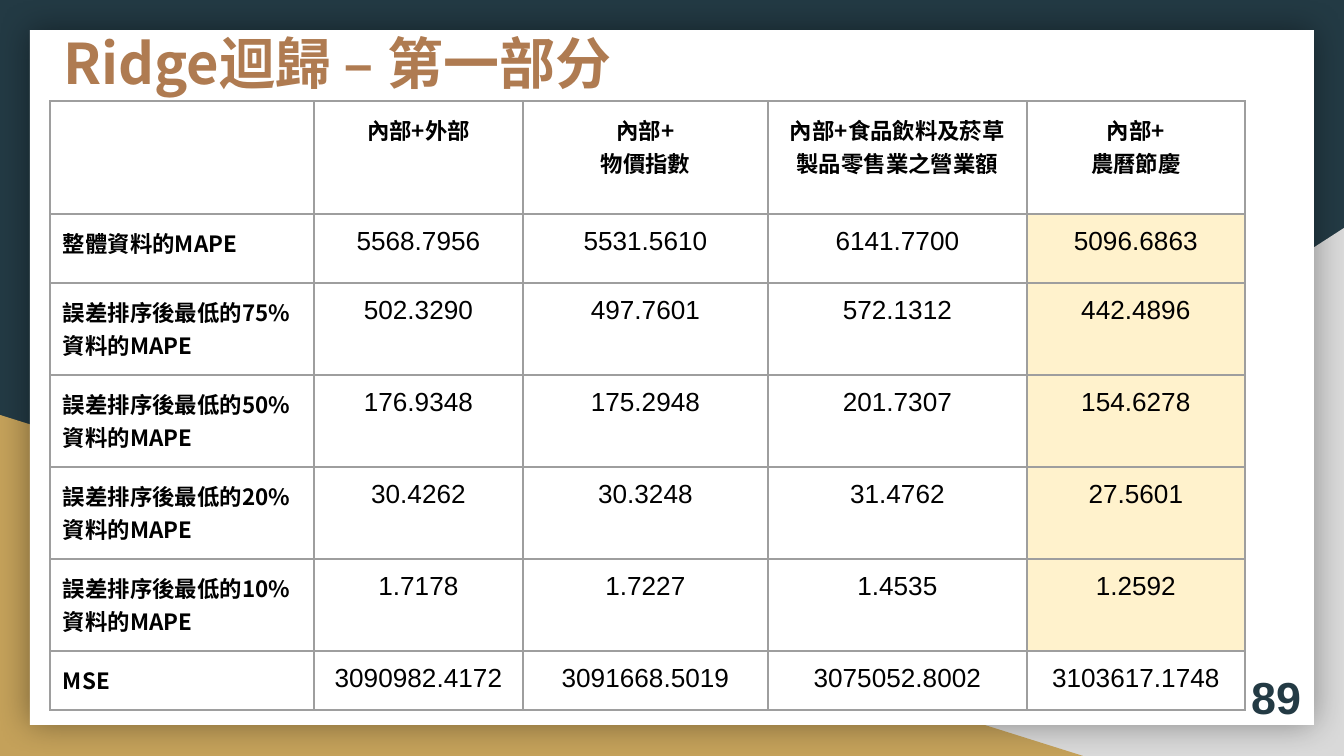
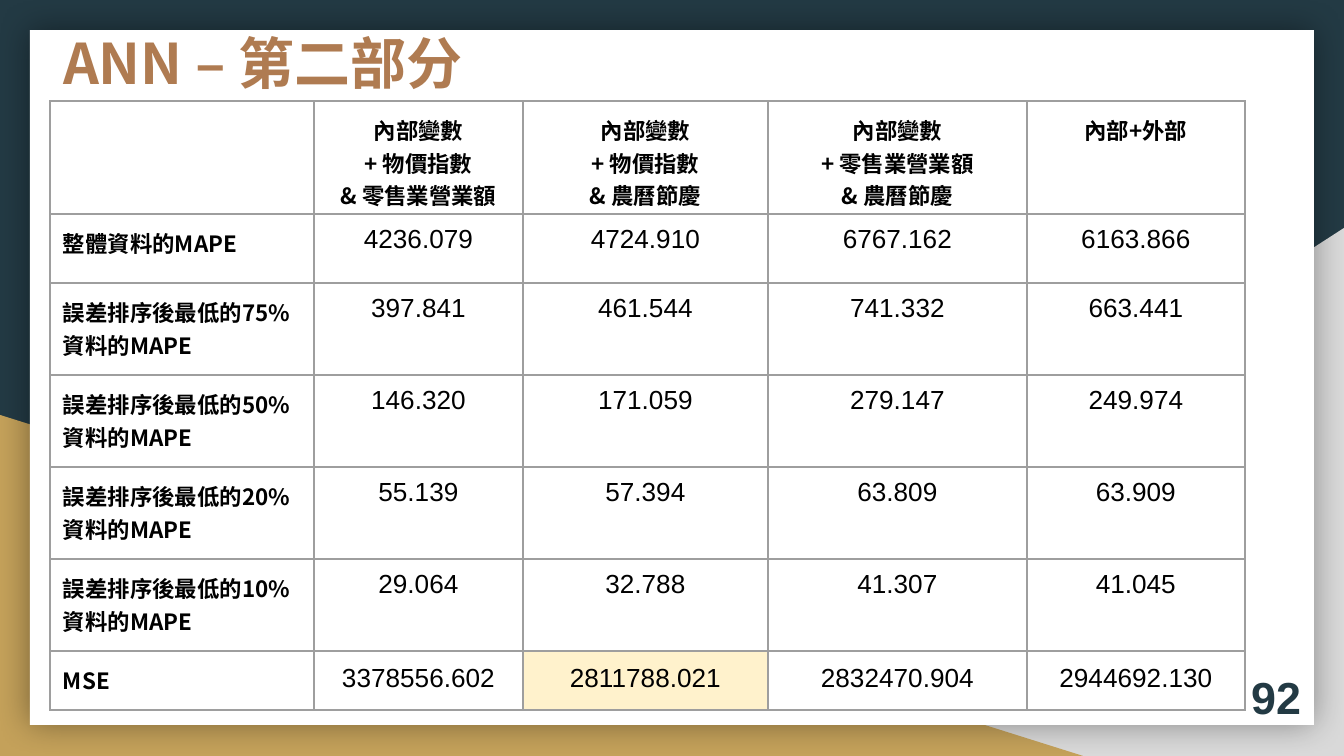
from itertools import accumulate

from lxml import etree
from pptx import Presentation
from pptx.dml.color import RGBColor
from pptx.enum.shapes import MSO_SHAPE as SHAPE
from pptx.enum.text import MSO_ANCHOR as ANCHOR, PP_ALIGN as ALIGN
from pptx.oxml import parse_xml
from pptx.oxml.ns import nsdecls, qn
from pptx.util import Emu, Pt

EMU_PER_INCH, PX_PER_INCH = 914400, 134.4
NAVY, GOLD, GREY, WHITE = "233A44", "C4A15A", "D9D9D9", "FFFFFF"
BROWN, BLACK, RULE, HIGHLIGHT = "AF7B51", "000000", "9E9E9E", "FFF2CC"
CJK, SANS = "Noto Sans CJK TC", "Arial"

TITLE = dict(size=Pt(30), bold=True, name=CJK)
HEADING = dict(size=Pt(12), bold=True, name=CJK)
VALUE = dict(size=Pt(14), bold=False, name=SANS)
NUMBER = dict(size=Pt(24), bold=True, name=SANS)

INSET = 13
TITLE_BOX = (50, 23, 1195, 110)
NUMBER_BOX = (1234, 668, 80, 58)
TABLE_ORIGIN = (50, 101)
COLUMNS = (264, 209, 245, 259, 218)
ROWS = (113, 69, 92, 92, 92, 92, 59)
LABELS = ["整體資料的MAPE",
          *(f"誤差排序後最低的{share}%資料的MAPE" for share in (75, 50, 20, 10)),
          "MSE"]

RIDGE = dict(
    title="Ridge迴歸 – 第一部分", number="89",
    headings=["內部+外部", "內部+\n物價指數",
              "內部+食品飲料及菸草製品零售業之營業額", "內部+\n農曆節慶"],
    values=[
        ["5568.7956", "5531.5610", "6141.7700", "5096.6863"],
        ["502.3290", "497.7601", "572.1312", "442.4896"],
        ["176.9348", "175.2948", "201.7307", "154.6278"],
        ["30.4262", "30.3248", "31.4762", "27.5601"],
        ["1.7178", "1.7227", "1.4535", "1.2592"],
        ["3090982.4172", "3091668.5019", "3075052.8002", "3103617.1748"],
    ],
    best={(row, 4) for row in range(1, 6)}, value_inset=INSET)

ANN = dict(
    title="ANN – 第二部分", number="92",
    headings=["內部變數\n+ 物價指數\n& 零售業營業額",
              "內部變數\n+ 物價指數\n& 農曆節慶",
              "內部變數\n+ 零售業營業額\n& 農曆節慶", "內部+外部"],
    values=[
        ["4236.079", "4724.910", "6767.162", "6163.866"],
        ["397.841", "461.544", "741.332", "663.441"],
        ["146.320", "171.059", "279.147", "249.974"],
        ["55.139", "57.394", "63.809", "63.909"],
        ["29.064", "32.788", "41.307", "41.045"],
        ["3378556.602", "2811788.021", "2832470.904", "2944692.130"],
    ],
    best={(6, 2)}, value_inset=11)


def px(n):
    return Emu(round(n * EMU_PER_INCH / PX_PER_INCH))


def rgb(value):
    return RGBColor.from_string(value)


def paint(fill, color):
    fill.solid()
    fill.fore_color.rgb = rgb(color)


def write(tf, text, style, color, align=ALIGN.LEFT, spacing=None):
    """Fill a text frame, one paragraph per line of text."""
    tf.text = text
    for p in tf.paragraphs:
        p.alignment = align
        if spacing:
            p.line_spacing = spacing
        for r in p.runs:
            r.font.color.rgb = rgb(color)
            for key, value in style.items():
                setattr(r.font, key, value)
            ea = etree.SubElement(r.font._element, qn("a:ea"))
            ea.set("typeface", style["name"])


def set_insets(target, inset):
    for side in ("left", "top", "right", "bottom"):
        setattr(target, f"margin_{side}", px(inset))


def add_block(s, kind, box, color):
    sp = s.shapes.add_shape(kind, *map(px, box))
    sp.shadow.inherit = False
    paint(sp.fill, color)
    sp.line.fill.background()
    return sp


def build_backdrop(layout, s):
    """Draw the shared backdrop through slide s and move it to the layout."""
    paint(layout.background.fill, NAVY)
    right = add_block(s, SHAPE.RIGHT_TRIANGLE, (527, 228, 817, 528), GREY)
    right._element.spPr.find(qn("a:xfrm")).set("flipH", "1")
    left = add_block(s, SHAPE.RIGHT_TRIANGLE, (0, 415, 1083, 341), GOLD)
    panel = add_block(s, SHAPE.RECTANGLE, (30, 30, 1284, 695), WHITE)
    effects = panel._element.spPr.find(qn("a:effectLst"))
    effects.append(parse_xml(
        f'<a:outerShdw {nsdecls("a")} blurRad="{Pt(18)}" dist="0" algn="ctr" '
        f'rotWithShape="0"><a:srgbClr val="{BLACK}"><a:alpha val="40000"/>'
        '</a:srgbClr></a:outerShdw>'))
    for i, sp in enumerate((right, left, panel)):
        layout.shapes.element.insert(2 + i, sp._element)


def place_title(s, box, text):
    sp = s.shapes.title
    sp.left, sp.top, sp.width, sp.height = map(px, box)
    tf = sp.text_frame
    set_insets(tf, INSET)
    tf.vertical_anchor = ANCHOR.TOP
    write(tf, text, TITLE, BROWN, spacing=0.9)


def add_page_number(s, box, text):
    tf = s.shapes.add_textbox(*map(px, box)).text_frame
    tf.word_wrap = True
    tf.vertical_anchor = ANCHOR.MIDDLE
    set_insets(tf, INSET)
    write(tf, text, NUMBER, NAVY, ALIGN.RIGHT)


def add_borders(cell):
    tcPr = cell._tc.get_or_add_tcPr()
    for i, side in enumerate(("lnL", "lnR", "lnT", "lnB")):
        tcPr.insert(i, parse_xml(
            f'<a:{side} {nsdecls("a")} w="{Pt(1)}"><a:solidFill>'
            f'<a:srgbClr val="{RULE}"/></a:solidFill></a:{side}>'))


def add_score_table(s, origin, headings, values, best, value_inset):
    """Add the table of errors; best holds the highlighted (row, column)s."""
    size = (list(accumulate(COLUMNS))[-1], list(accumulate(ROWS))[-1])
    table = s.shapes.add_table(len(ROWS), len(COLUMNS),
                               *map(px, origin + size)).table
    table.first_row = table.horz_banding = False
    for column, width in zip(table.columns, COLUMNS):
        column.width = px(width)
    for row, height in zip(table.rows, ROWS):
        row.height = px(height)

    grid = [["", *headings]]
    grid += [[label, *scores] for label, scores in zip(LABELS, values)]
    last = len(ROWS) - 1
    for i, texts in enumerate(grid):
        for j, text in enumerate(texts):
            cell = table.cell(i, j)
            is_value = i > 0 and j > 0
            set_insets(cell, value_inset if is_value and i < last else INSET)
            paint(cell.fill, HIGHLIGHT if (i, j) in best else WHITE)
            add_borders(cell)
            write(cell.text_frame, text, VALUE if is_value else HEADING,
                  BLACK, ALIGN.CENTER if j else ALIGN.LEFT)


def build_score_slide(s, title, number, **scores):
    place_title(s, TITLE_BOX, title)
    add_page_number(s, NUMBER_BOX, number)
    add_score_table(s, TABLE_ORIGIN, **scores)


def main():
    prs = Presentation()
    prs.slide_width, prs.slide_height = px(1344), px(756)
    layout = prs.slide_layouts[5]
    slides = [prs.slides.add_slide(layout) for _ in range(2)]
    build_backdrop(layout, slides[0])
    for s, content in zip(slides, (RIDGE, ANN)):
        build_score_slide(s, **content)
    prs.save("out.pptx")


if __name__ == "__main__":
    main()
